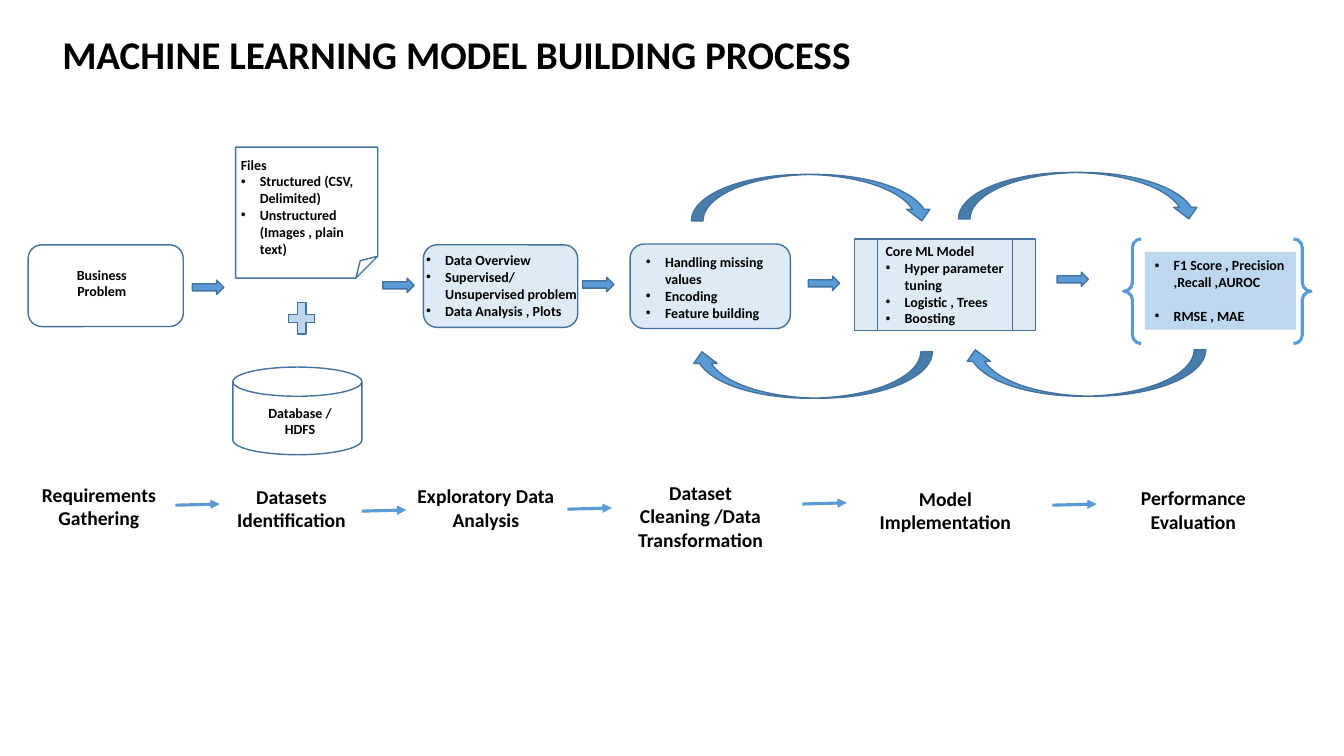
from collections import namedtuple
from dataclasses import dataclass

from pptx import Presentation
from pptx.dml.color import RGBColor
from pptx.enum.shapes import MSO_CONNECTOR, MSO_SHAPE
from pptx.enum.text import MSO_ANCHOR, MSO_AUTO_SIZE, PP_ALIGN
from pptx.oxml.ns import qn
from pptx.util import Cm, Pt
from lxml import etree

ROUNDED = MSO_SHAPE.ROUNDED_RECTANGLE
FOLDED = MSO_SHAPE.FOLDED_CORNER
DISK = MSO_SHAPE.FLOWCHART_MAGNETIC_DISK
PREDEFINED = MSO_SHAPE.FLOWCHART_PREDEFINED_PROCESS
BRACES = MSO_SHAPE.DOUBLE_BRACE
PLUS = MSO_SHAPE.MATH_PLUS
RIGHT_ARROW = MSO_SHAPE.RIGHT_ARROW
LOOP_ARROW = MSO_SHAPE.CURVED_LEFT_ARROW
STRAIGHT = MSO_CONNECTOR.STRAIGHT
TOP = MSO_ANCHOR.TOP
MIDDLE = MSO_ANCHOR.MIDDLE
GROW = MSO_AUTO_SIZE.SHAPE_TO_FIT_TEXT
FIXED = MSO_AUTO_SIZE.NONE
LEFT = PP_ALIGN.LEFT
CENTER = PP_ALIGN.CENTER


@dataclass(frozen=True)
class Theme:
    font: str = "Calibri"
    ink: RGBColor = RGBColor(0x00, 0x00, 0x00)
    outline: RGBColor = RGBColor(0x43, 0x73, 0x9E)
    accent: RGBColor = RGBColor(0x5B, 0x9B, 0xD5)
    soft: RGBColor = RGBColor(0xBD, 0xD7, 0xEE)
    pale: RGBColor = RGBColor(0xDE, 0xEB, 0xF7)
    title_size: float = 28
    caption_size: float = 14
    body_size: float = 10
    thin: float = 1
    thick: float = 2.25


THEME = Theme()
Box = namedtuple("Box", "left top width height")
Item = namedtuple("Item", "text bullet before", defaults=(True, 0))
Card = namedtuple("Card", "kind box fill label items align", defaults=(LEFT,))

CARDS = {
    "requirements": Card(ROUNDED, Box(0.71, 6.17, 3.91, 2.06), None, Box(0.56, 0.41, 2.59, 1.12),
                         [Item("Business Problem", False)], CENTER),
    "files": Card(FOLDED, Box(5.94, 3.71, 3.58, 3.3), None, Box(-0.12, 0.1, 3.58, 3.33),
                  [Item("Files", False), Item("Structured (CSV, Delimited)"),
                   Item("Unstructured (Images , plain text)")]),
    "database": Card(DISK, Box(5.87, 9.25, 3.25, 2.21), None, Box(0.28, 0.81, 2.82, 1.12),
                     [Item("Database / HDFS", False)], CENTER),
    "exploration": Card(ROUNDED, Box(10.67, 6.17, 3.89, 2.08), THEME.pale, Box(-0.18, 0.05, 4.39, 3.25),
                        [Item("Data Overview"), Item("Supervised/ Unsupervised problem"),
                         Item("Data Analysis , Plots")]),
    "cleaning": Card(ROUNDED, Box(15.88, 6.15, 4.04, 2.13), THEME.pale, Box(0.15, 0.12, 3.86, 1.96),
                     [Item("Handling missing values"), Item("Encoding"), Item("Feature building")]),
    "model": Card(PREDEFINED, Box(21.54, 6.02, 4.55, 2.31), THEME.pale, Box(0.53, -0.03, 4.29, 3.25),
                  [Item("Core ML Model", False), Item("Hyper parameter tuning"),
                   Item("Logistic , Trees"), Item("Boosting")]),
}
METRICS = [Item("F1 Score , Precision ,Recall ,AUROC"), Item("RMSE , MAE", True, 12.2)]
CAPTIONS = [
    (0.41, 12.04, ["Requirements", "Gathering"]),
    (5.26, 12.09, ["Datasets Identification"]),
    (10.16, 12.07, ["Exploratory Data Analysis"]),
    (15.57, 11.99, ["Dataset Cleaning /Data Transformation"]),
    (21.74, 12.14, ["Model Implementation"]),
    (27.99, 12.12, ["Performance Evaluation"]),
]
BLOCK_ARROWS = [(4.85, 7.06), (9.65, 7.01), (14.68, 6.99), (20.37, 6.96), (26.64, 6.86)]
CAPTION_ARROWS = [(4.42, 12.73), (9.12, 12.88), (14.3, 12.83), (20.22, 12.7), (26.52, 12.73)]
LOOPS = [(26.75, 6.35, 90), (19.86, 6.4, 90), (19.89, 1.93, 270), (26.62, 1.88, 270)]


def apply(target, values):
    for name, value in values.items():
        setattr(target, name, value)


def lengths(box):
    return [Cm(value) for value in box]


def inside(box, part):
    return Box(box.left + part.left, box.top + part.top, part.width, part.height)


def add_figure(page, kind, box, fill=None, line=THEME.outline, weight=THEME.thin, turn=0):
    figure = page.shapes.add_shape(kind, *lengths(box))
    figure.shadow.inherit = False
    figure.rotation = turn
    if fill is None:
        figure.fill.background()
    else:
        figure.fill.solid()
        figure.fill.fore_color.rgb = fill
    figure.line.color.rgb = line
    figure.line.width = Pt(weight)
    return figure


def add_bullet(para):
    properties = para._p.get_or_add_pPr()
    properties.set("marL", str(Cm(0.48)))
    properties.set("indent", str(Cm(-0.48)))
    etree.SubElement(properties, qn("a:buFont")).set("typeface", "Arial")
    etree.SubElement(properties, qn("a:buChar")).set("char", "•")


def add_label(page, box, items, size, align=LEFT, spacing=1.0, anchor=TOP, fit=GROW):
    label = page.shapes.add_textbox(*lengths(box))
    frame = label.text_frame
    apply(frame, {"word_wrap": True, "vertical_anchor": anchor, "auto_size": fit})
    for index, item in enumerate(items):
        para = frame.paragraphs[0] if index == 0 else frame.add_paragraph()
        apply(para, {"alignment": align, "line_spacing": spacing, "space_before": Pt(item.before)})
        if item.bullet:
            add_bullet(para)
        span = para.add_run()
        span.text = item.text
        apply(span.font, {"name": THEME.font, "size": Pt(size), "bold": True})
        span.font.color.rgb = THEME.ink
    return label


def draw_title(page, box):
    items = [Item("MACHINE LEARNING MODEL BUILDING PROCESS", False)]
    add_label(page, box, items, THEME.title_size, spacing=0.9, anchor=MIDDLE, fit=FIXED)


def draw_card(page, box, card):
    add_figure(page, card.kind, box, card.fill)
    add_label(page, inside(box, card.label), card.items, THEME.body_size, card.align)


def draw_evaluation(page, box):
    add_figure(page, BRACES, box, line=THEME.accent, weight=THEME.thick)
    panel = add_label(page, inside(box, Box(0.53, 0.33, 3.81, 1.96)), METRICS, THEME.body_size)
    panel.fill.solid()
    panel.fill.fore_color.rgb = THEME.soft


def draw_caption(page, box, lines):
    add_label(page, box, [Item(text, False) for text in lines], THEME.caption_size, CENTER)


def draw_caption_arrow(page, box):
    ends = box.left, box.top, box.left + box.width, box.top + box.height
    arrow = page.shapes.add_connector(STRAIGHT, *lengths(ends))
    arrow.line.color.rgb = THEME.accent
    arrow.line.width = Pt(THEME.thick)
    etree.SubElement(arrow.line._get_or_add_ln(), qn("a:tailEnd")).set("type", "triangle")
    etree.SubElement(arrow._element.spPr, qn("a:effectLst"))


def draw_process(page):
    draw_title(page, Box(1.32, 0.64, 28.73, 1.57))
    for card in CARDS.values():
        draw_card(page, card.box, card)
    add_figure(page, PLUS, Box(7.16, 7.49, 0.89, 1.07), THEME.soft)
    draw_evaluation(page, Box(28.32, 6.02, 4.72, 2.64))
    for left, top, lines in CAPTIONS:
        draw_caption(page, Box(left, top, 4.17, 1.45), lines)
    for left, top in BLOCK_ARROWS:
        add_figure(page, RIGHT_ARROW, Box(left, top, 0.79, 0.36), THEME.accent)
    for left, top in CAPTION_ARROWS:
        draw_caption_arrow(page, Box(left, top, 1.12, -0.03))
    for left, top, turn in LOOPS:
        add_figure(page, LOOP_ARROW, Box(left, top, 1.17, 6.1), THEME.accent, turn=turn)


deck = Presentation()
apply(deck, {"slide_width": Cm(33.87), "slide_height": Cm(19.05)})
draw_process(deck.slides.add_slide(deck.slide_layouts[6]))
deck.save("out.pptx")
